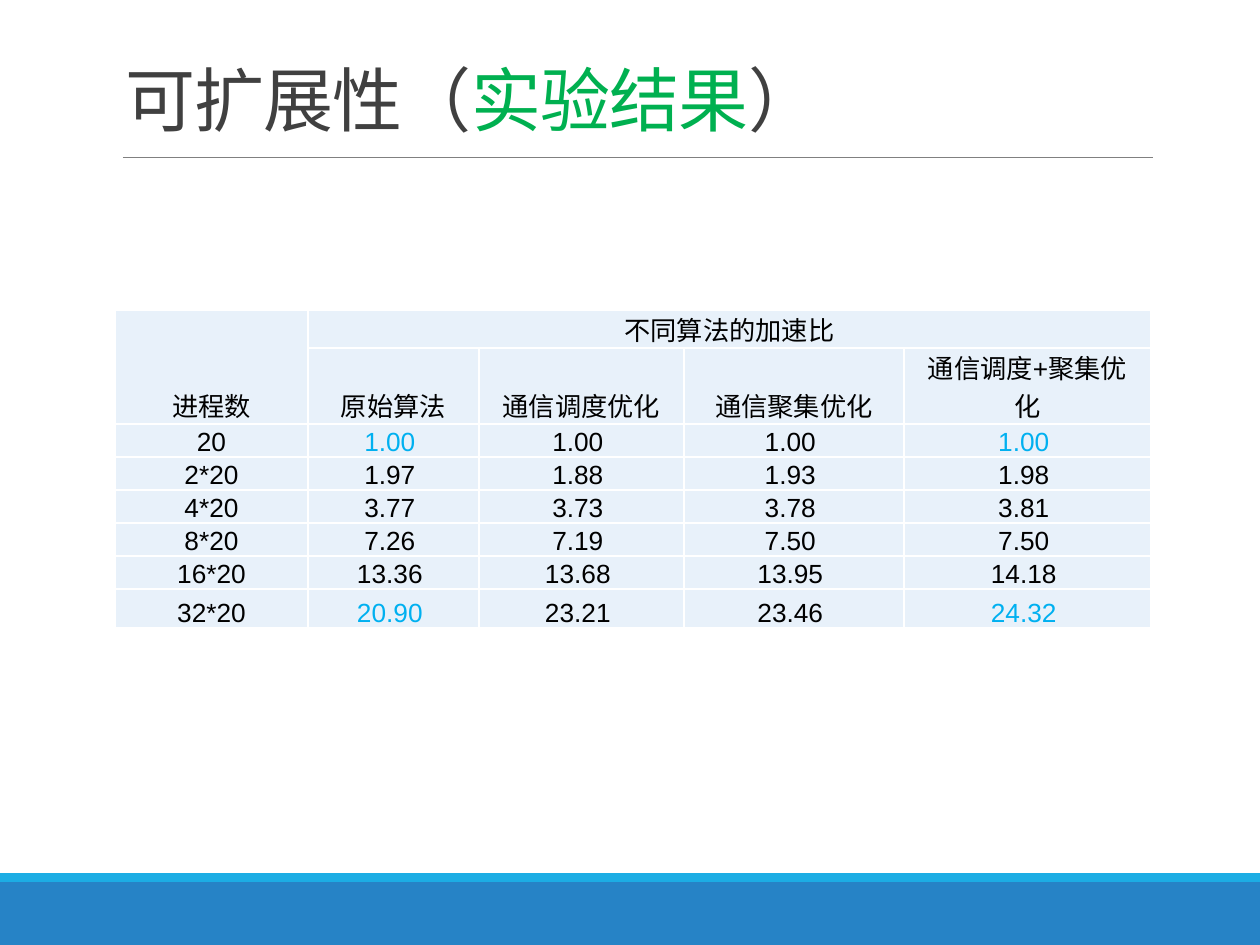
from lxml.etree import SubElement
from pptx import Presentation
from pptx.dml.color import RGBColor
from pptx.enum.shapes import MSO_CONNECTOR, MSO_SHAPE
from pptx.enum.text import MSO_ANCHOR, MSO_AUTO_SIZE, PP_ALIGN
from pptx.oxml.ns import qn
from pptx.util import Pt

EMU_PER_PX = 914400 / 126
SLIDE_WIDTH, SLIDE_HEIGHT = 1260, 945
TITLE_ONLY_LAYOUT = 5

COLUMN_WIDTHS = [193, 171, 205, 220, 247]
ROW_HEIGHTS = [33, 63] + [33] * 5 + [39]
ALGORITHMS = ["原始算法", "通信调度优化", "通信聚集优化", "通信调度+聚集优化"]
SPEEDUPS = {
    "20": [1.00, 1.00, 1.00, 1.00],
    "2*20": [1.97, 1.88, 1.93, 1.98],
    "4*20": [3.77, 3.73, 3.78, 3.81],
    "8*20": [7.26, 7.19, 7.50, 7.50],
    "16*20": [13.36, 13.68, 13.95, 14.18],
    "32*20": [20.90, 23.21, 23.46, 24.32],
}
HIGHLIGHTED_CELLS = {(2, 1), (2, 4), (7, 1), (7, 4)}


def px(length):
    return round(length * EMU_PER_PX)


def color(hex_value):
    return RGBColor.from_string(hex_value)


class SlideBuilder:
    font_name = "Arial"
    title_color = "404040"
    accent = "00B050"
    rule_color = "808080"
    cell_fill = "E8F1FA"
    cell_border = "FFFFFF"
    cell_text = "000000"
    cell_highlight = "00B0F0"

    def __init__(self, slide):
        self.slide = slide

    def title(self, parts, left, top, width, height):
        """Fill the title with (text, colour) parts."""
        title = self.slide.shapes.title
        title.left, title.top, title.width, title.height = map(px, (left, top, width, height))
        frame = title.text_frame
        frame.word_wrap = True
        frame.auto_size = MSO_AUTO_SIZE.NONE
        frame.vertical_anchor = MSO_ANCHOR.BOTTOM
        paragraph = frame.paragraphs[0]
        paragraph.alignment = PP_ALIGN.LEFT
        paragraph.line_spacing = 0.85
        paragraph.font.name = self.font_name
        paragraph.font.size = Pt(40)
        for text, hex_value in parts:
            run = paragraph.add_run()
            run.text = text
            run.font.color.rgb = color(hex_value)
            run.font._element.set("spc", "-50")

    def band(self, top, height, hex_value):
        shape = self.slide.shapes.add_shape(
            MSO_SHAPE.RECTANGLE, 0, px(top), px(SLIDE_WIDTH), px(height))
        shape.shadow.inherit = False
        shape.fill.solid()
        shape.fill.fore_color.rgb = color(hex_value)
        shape.line.fill.background()

    def rule(self, left, right, top):
        line = self.slide.shapes.add_connector(
            MSO_CONNECTOR.STRAIGHT, px(left), px(top), px(right), px(top))
        line.line.color.rgb = color(self.rule_color)
        line.line.width = Pt(0.5)
        SubElement(line._element.spPr, qn("a:effectLst"))

    def table(self, left, top, column_widths, row_heights):
        frame = self.slide.shapes.add_table(
            len(row_heights), len(column_widths), px(left), px(top),
            px(sum(column_widths)), px(sum(row_heights)))
        table = frame.table
        for column, width in zip(table.columns, column_widths):
            column.width = px(width)
        for row, height in zip(table.rows, row_heights):
            row.height = px(height)
        for cell in table.iter_cells():
            self.style_cell(cell)
        return table

    def style_cell(self, cell):
        properties = cell._tc.get_or_add_tcPr()
        for side in ("lnL", "lnR", "lnT", "lnB"):
            border = SubElement(properties, qn(f"a:{side}"), w=str(Pt(1)))
            fill = SubElement(border, qn("a:solidFill"))
            SubElement(fill, qn("a:srgbClr"), val=self.cell_border)
        cell.fill.solid()
        cell.fill.fore_color.rgb = color(self.cell_fill)
        cell.vertical_anchor = MSO_ANCHOR.BOTTOM
        cell.margin_top = cell.margin_bottom = 0

    def cell_content(self, cell, text, highlighted=False):
        cell.text = text
        paragraph = cell.text_frame.paragraphs[0]
        paragraph.alignment = PP_ALIGN.CENTER
        font = paragraph.font
        font.name = self.font_name
        font.size = Pt(15)
        font.bold = False
        font.color.rgb = color(self.cell_highlight if highlighted else self.cell_text)


def add_speedup_table(builder):
    table = builder.table(115, 310, COLUMN_WIDTHS, ROW_HEIGHTS)
    table.cell(0, 0).merge(table.cell(1, 0))
    table.cell(0, 1).merge(table.cell(0, 4))
    builder.cell_content(table.cell(0, 0), "进程数")
    builder.cell_content(table.cell(0, 1), "不同算法的加速比")
    for column, name in enumerate(ALGORITHMS, start=1):
        builder.cell_content(table.cell(1, column), name)
    for row, (processes, values) in enumerate(SPEEDUPS.items(), start=2):
        builder.cell_content(table.cell(row, 0), processes)
        for column, value in enumerate(values, start=1):
            builder.cell_content(table.cell(row, column), f"{value:.2f} ",
                                 (row, column) in HIGHLIGHTED_CELLS)


def main():
    presentation = Presentation()
    presentation.slide_width = px(SLIDE_WIDTH)
    presentation.slide_height = px(SLIDE_HEIGHT)
    slide = presentation.slides.add_slide(presentation.slide_layouts[TITLE_ONLY_LAYOUT])
    builder = SlideBuilder(slide)
    builder.band(882, 63, "2683C6")
    builder.band(873, 9, "1CADE4")
    builder.rule(123, 1153, 157)
    builder.title([("可扩展性（", builder.title_color), ("实验结果", builder.accent),
                   ("）", builder.title_color)], 113, 39, 1040, 108)
    add_speedup_table(builder)
    presentation.save("out.pptx")


if __name__ == "__main__":
    main()
